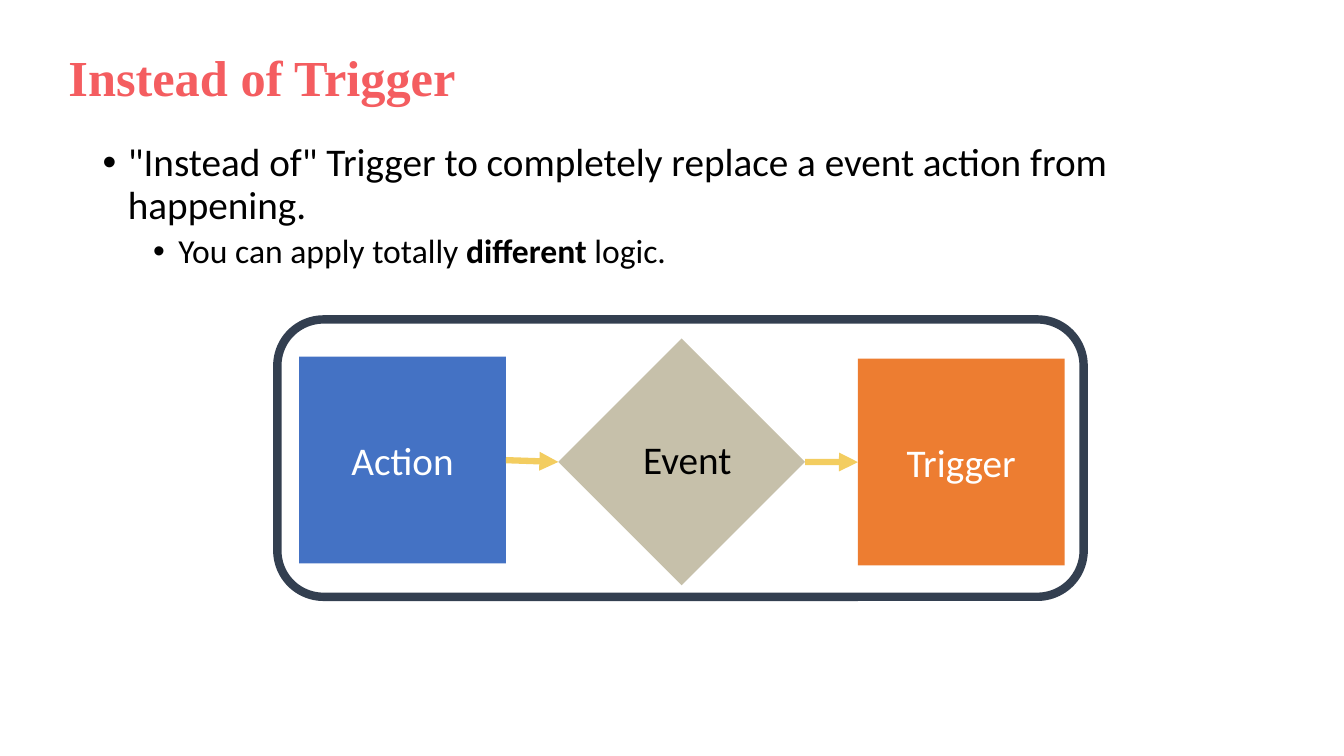
from dataclasses import dataclass

from lxml.etree import SubElement
from pptx import Presentation
from pptx.dml.color import RGBColor
from pptx.enum.shapes import MSO_CONNECTOR as Connector, MSO_SHAPE as Shape
from pptx.enum.text import MSO_ANCHOR as Anchor, PP_ALIGN as Align
from pptx.oxml.ns import qn
from pptx.util import Cm, Pt

TOP, LEFT, BOTTOM, RIGHT = range(4)


@dataclass(frozen=True)
class Theme:
    title_font: str = "Times New Roman"
    body_font: str = "Calibri"
    title_size: float = 36
    body_size: float = 28
    detail_size: float = 24
    title: str = "F45D60"
    dark: str = "000000"
    light: str = "FFFFFF"
    action: str = "4472C4"
    event: str = "C6C0AA"
    trigger: str = "ED7D31"
    arrow: str = "F3CD60"
    frame: str = "333F50"


class SlideBuilder:
    def __init__(self, deck, theme):
        self.theme = theme
        self.page = deck.slides.add_slide(deck.slide_layouts[5])

    def add_span(self, para, text, size, color, font=None, bold=False):
        span = para.add_run()
        span.text = text
        span.font.name = font or self.theme.body_font
        span.font.size = Pt(size)
        span.font.bold = bold
        span.font.color.rgb = RGBColor.from_string(color)

    def title(self, text, left, top, width, height):
        box = self.page.shapes.title
        box.left, box.top, box.width, box.height = map(Cm, (left, top, width, height))
        box.text_frame.vertical_anchor = Anchor.MIDDLE
        para = box.text_frame.paragraphs[0]
        para.alignment = Align.LEFT
        para.line_spacing = 0.9
        theme = self.theme
        self.add_span(para, text, theme.title_size, theme.title, theme.title_font, True)

    def bullets(self, items, left, top, width, height):
        """Each item is (level, size, [(text, bold), ...])."""
        box = self.page.shapes.add_textbox(*map(Cm, (left, top, width, height)))
        box.text_frame.word_wrap = True
        for index, (level, size, spans) in enumerate(items):
            para = box.text_frame.paragraphs[0] if index == 0 else box.text_frame.add_paragraph()
            para.level = level
            para.line_spacing = 0.9
            para.space_before = Pt(5 if index else 0)
            props = para._p.get_or_add_pPr()
            props.set("marL", str(Cm(0.635 + 1.27 * level)))
            props.set("indent", str(-Cm(0.635)))
            SubElement(props, qn("a:buFont")).set("typeface", "Arial")
            SubElement(props, qn("a:buChar")).set("char", "•")
            for text, bold in spans:
                self.add_span(para, text, size, self.theme.dark, bold=bold)

    def shape(self, kind, left, top, width, height, fill=None, line=None, line_width=0):
        shape = self.page.shapes.add_shape(kind, *map(Cm, (left, top, width, height)))
        shape.shadow.inherit = False
        if fill:
            shape.fill.solid()
            shape.fill.fore_color.rgb = RGBColor.from_string(fill)
        else:
            shape.fill.background()
        if line:
            shape.line.color.rgb = RGBColor.from_string(line)
            shape.line.width = Pt(line_width)
        else:
            shape.line.fill.background()
        return shape

    def label(self, shape, text, color, anchor=Anchor.MIDDLE):
        shape.text_frame.vertical_anchor = anchor
        para = shape.text_frame.paragraphs[0]
        para.alignment = Align.CENTER
        self.add_span(para, text, self.theme.body_size, color)

    def arrow(self, source, target):
        """Join the right side of one shape to the left side of the next."""
        link = self.page.shapes.add_connector(Connector.STRAIGHT, 0, 0, 0, 0)
        link.begin_connect(source, RIGHT)
        link.end_connect(target, LEFT)
        link.line.color.rgb = RGBColor.from_string(self.theme.arrow)
        link.line.width = Pt(4.5)
        SubElement(link.line._get_or_add_ln(), qn("a:tailEnd")).set("type", "triangle")
        SubElement(link._element.spPr, qn("a:effectLst"))


def main():
    deck = Presentation()
    deck.slide_width, deck.slide_height = Cm(33.87), Cm(19.05)
    theme = Theme()
    slide = SlideBuilder(deck, theme)

    # Title and explanation
    slide.title("Instead of Trigger", 1.47, 0.97, 29.21, 2.08)
    slide.bullets([
        (0, theme.body_size, [
            ('"Instead of" Trigger to completely replace a event action from happening.', False),
        ]),
        (1, theme.detail_size, [
            ("You can apply totally ", False), ("different", True), (" logic.", False),
        ]),
    ], 2.34, 3.48, 29.21, 12.09)

    # Flow steps
    event = slide.shape(Shape.DIAMOND, 14.07, 8.53, 6.22, 6.22, theme.event)
    action = slide.shape(Shape.RECTANGLE, 7.54, 8.99, 5.21, 5.21, theme.action)
    slide.label(action, "Action", theme.light)
    event_label = slide.shape(Shape.RECTANGLE, 15.39, 10.85, 3.86, 1.45, theme.event)
    slide.label(event_label, "Event", theme.dark, Anchor.TOP)
    trigger = slide.shape(Shape.RECTANGLE, 21.62, 9.04, 5.21, 5.21, theme.trigger)
    slide.label(trigger, "Trigger", theme.light)

    # Frame and arrows
    slide.shape(Shape.ROUNDED_RECTANGLE, 6.99, 8.05, 20.32, 6.99, line=theme.frame, line_width=6)
    slide.arrow(action, event)
    slide.arrow(event, trigger)

    deck.save("out.pptx")


if __name__ == "__main__":
    main()
